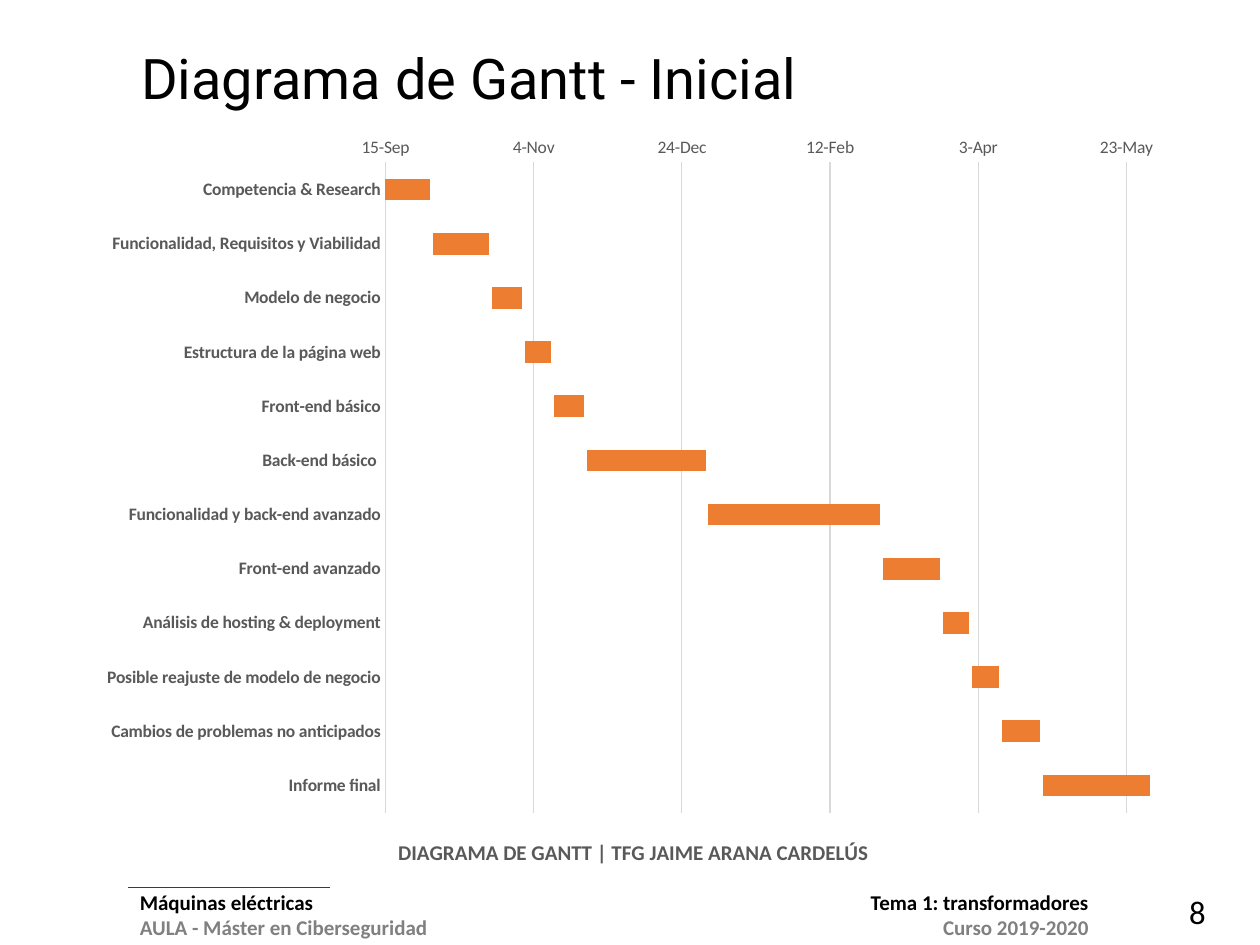
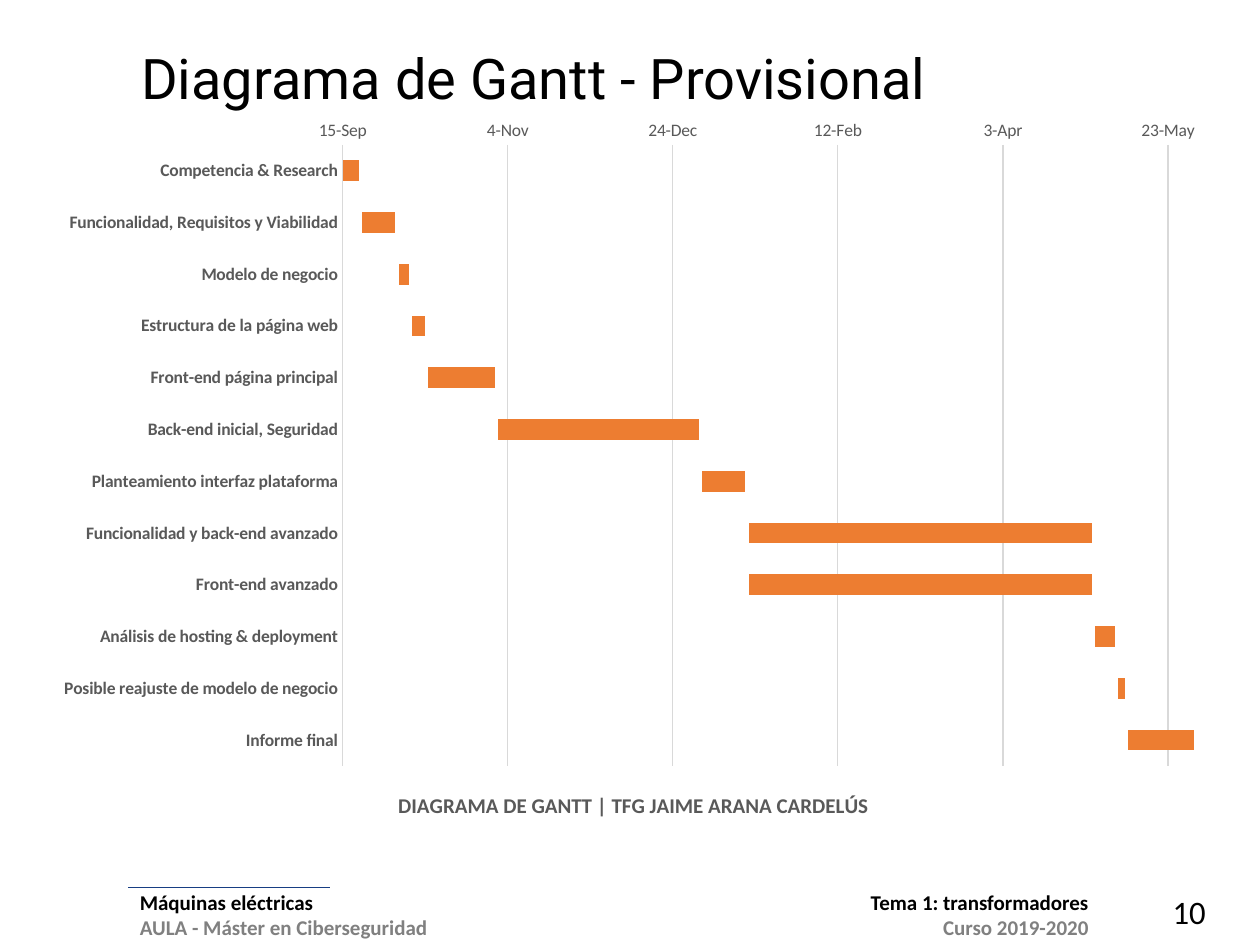
from lxml.etree import SubElement
from pptx import Presentation
from pptx.chart.data import CategoryChartData
from pptx.dml.color import RGBColor
from pptx.enum.chart import XL_CHART_TYPE as ChartType, XL_TICK_MARK as TickMark
from pptx.enum.shapes import MSO_CONNECTOR as Connector
from pptx.enum.text import MSO_ANCHOR as Anchor, MSO_AUTO_SIZE as AutoSize, PP_ALIGN as Align
from pptx.oxml import parse_xml
from pptx.oxml.ns import nsdecls, qn
from pptx.util import Inches, Pt

BLACK, GRAY, DARK_GRAY = "000000", "808080", "595959"
NAVY, ORANGE, GRID = "173E83", "ED7D31", "D9D9D9"
BODY_FONT, TITLE_FONT = "Calibri", "Roboto"

# Spreadsheet day numbers: 15 September to 31 May
FIRST_DAY, LAST_DAY, DAY_STEP = 44454, 44712, 50
CHART_TITLE = "DIAGRAMA DE GANTT | TFG JAIME ARANA CARDELÚS"

# Tasks: name, start day, duration
INITIAL_TASKS = [
    ("Competencia & Research", 44454, 15),
    ("Funcionalidad, Requisitos y Viabilidad", 44470, 19),
    ("Modelo de negocio", 44490, 10),
    ("Estructura de la página web", 44501, 9),
    ("Front-end básico", 44511, 10),
    ("Back-end básico ", 44522, 40),
    ("Funcionalidad y back-end avanzado", 44563, 58),
    ("Front-end avanzado", 44622, 19),
    ("Análisis de hosting & deployment", 44642, 9),
    ("Posible reajuste de modelo de negocio", 44652, 9),
    ("Cambios de problemas no anticipados", 44662, 13),
    ("Informe final", 44676, 36),
]
PROVISIONAL_TASKS = [
    ("Competencia & Research", 44454, 5),
    ("Funcionalidad, Requisitos y Viabilidad", 44460, 10),
    ("Modelo de negocio", 44471, 3),
    ("Estructura de la página web", 44475, 4),
    ("Front-end página principal", 44480, 20),
    ("Back-end inicial, Seguridad", 44501, 61),
    ("Planteamiento interfaz plataforma", 44563, 13),
    ("Funcionalidad y back-end avanzado", 44577, 104),
    ("Front-end avanzado", 44577, 104),
    ("Análisis de hosting & deployment", 44682, 6),
    ("Posible reajuste de modelo de negocio", 44689, 2),
    ("Informe final", 44692, 20),
]


def color(value):
    return RGBColor.from_string(value)


def set_font(font, size, tone, bold=False, name=BODY_FONT):
    font.name, font.size, font.bold = name, Pt(size), bold
    font.color.rgb = color(tone)


def manual_layout(frame, place, inner=False):
    """Describe a place on the slide as fractions of the chart frame."""
    left, top, width, height = frame
    layout = parse_xml(f"<c:layout {nsdecls('c')}><c:manualLayout/></c:layout>")
    settings = [("layoutTarget", "inner")] if inner else []
    settings += [("xMode", "edge"), ("yMode", "edge")]
    fractions = [(place[0] - left) / width, (place[1] - top) / height]
    fractions += [size / whole for size, whole in zip(place[2:], (width, height))]
    settings += [(key, f"{part:.4f}") for key, part in zip("xywh", fractions)]
    for key, value in settings:
        SubElement(layout[0], qn(f"c:{key}")).set("val", value)
    return layout


def remove_layout(parent):
    old = parent.find(qn("c:layout"))
    if old is not None:
        parent.remove(old)


class GanttDeck:
    def __init__(self):
        self.deck = Presentation()
        self.deck.slide_width, self.deck.slide_height = Inches(10), Inches(7.5)
        self.page = None

    def add_page(self, title, number):
        self.page = self.deck.slides.add_slide(self.deck.slide_layouts[5])
        self.footer(number)
        self.title(title)

    def title(self, text):
        box = self.page.shapes.title
        box.left, box.top, box.width, box.height = map(Inches, (1.02, 0.09, 8.65, 1.11))
        frame = box.text_frame
        frame.text = text
        frame.auto_size, frame.vertical_anchor = AutoSize.NONE, Anchor.MIDDLE
        para = frame.paragraphs[0]
        para.alignment, para.line_spacing = Align.LEFT, 0.9
        set_font(para.font, 32, BLACK, name=TITLE_FONT)

    def text(self, place, lines, align=Align.LEFT):
        """Add a box of (text, size, color, bold) lines."""
        frame = self.page.shapes.add_textbox(*map(Inches, place)).text_frame
        frame.word_wrap = True
        frame.margin_left = frame.margin_right = Inches(0.13)
        frame.margin_top = frame.margin_bottom = Inches(0.06)
        for index, (text, size, tone, bold) in enumerate(lines):
            para = frame.add_paragraph() if index else frame.paragraphs[0]
            para.text, para.alignment = text, align
            set_font(para.font, size, tone, bold)

    def rule(self, start, end, tone):
        line = self.page.shapes.add_connector(Connector.STRAIGHT, *map(Inches, start + end))
        line.line.color.rgb, line.line.width = color(tone), Pt(0.5)
        SubElement(line._element.spPr, qn("a:effectLst"))

    def footer(self, number):
        columns = [
            (0.98, Align.LEFT, "Máquinas eléctricas", "AULA - Máster en Ciberseguridad"),
            (3.9, Align.RIGHT, "Tema 1: transformadores", "Curso 2019-2020"),
        ]
        for left, align, heading, detail in columns:
            lines = [(heading, 12, BLACK, True), (detail, 12, GRAY, True)]
            self.text((left, 7, 4.87, 0.53), lines, align)
        self.text((9.13, 7.02, 0.57, 0.45), [(str(number), 18.7, BLACK, False)], Align.RIGHT)
        self.rule((1.02, 7.04), (2.62, 7.04), NAVY)

    def gantt(self, frame, plot_area, title_at, tasks):
        names, starts, durations = zip(*tasks)
        data = CategoryChartData()
        data.categories = names
        data.add_series("Series 1", starts)
        data.add_series("Series 2", durations)
        chart = self.page.shapes.add_chart(
            ChartType.BAR_STACKED, *map(Inches, frame), data).chart
        chart.has_legend = chart.has_title = False
        set_font(chart.font, 10, BLACK)

        # Bars: invisible start offset, then the duration
        plot = chart.plots[0]
        plot.gap_width, plot.overlap, plot.vary_by_categories = 150, 100, False
        offset, duration = plot.series
        offset.format.fill.background()
        offset.format.line.fill.background()
        duration.format.fill.solid()
        duration.format.fill.fore_color.rgb = color(ORANGE)

        # Axes
        task_axis, day_axis = chart.category_axis, chart.value_axis
        for axis in (task_axis, day_axis):
            axis.major_tick_mark = axis.minor_tick_mark = TickMark.NONE
            axis.format.line.fill.background()
            set_font(axis.tick_labels.font, 10, DARK_GRAY, bold=axis is task_axis)
        task_axis.reverse_order = True
        day_axis.minimum_scale, day_axis.maximum_scale = FIRST_DAY, LAST_DAY
        day_axis.major_unit = DAY_STEP
        day_axis.tick_labels.number_format = "d\\-mmm"
        day_axis.tick_labels.number_format_is_linked = False
        day_axis.has_major_gridlines = True
        grid = day_axis.major_gridlines.format.line
        grid.color.rgb, grid.width = color(GRID), Pt(0.75)

        # Axis title below the plot
        title = day_axis.axis_title
        title.text_frame.text = CHART_TITLE
        set_font(title.text_frame.paragraphs[0].font, 12, DARK_GRAY, True)
        remove_layout(title._element)
        title._element.find(qn("c:tx")).addnext(manual_layout(frame, title_at))

        # Plot position
        area = chart._chartSpace.chart.plotArea
        remove_layout(area)
        area.insert(0, manual_layout(frame, plot_area, inner=True))


def main():
    gantt_deck = GanttDeck()

    # Initial plan
    gantt_deck.add_page("Diagrama de Gantt - Inicial", 8)
    gantt_deck.gantt((0.67, 0.97, 8.65, 6.07), (3.06, 1.29, 6.07, 5.16),
                     (3.13, 6.62), INITIAL_TASKS)

    # Provisional plan
    gantt_deck.add_page("Diagrama de Gantt - Provisional", 10)
    gantt_deck.gantt((0.33, 0.84, 9.35, 5.83), (2.72, 1.15, 6.76, 4.93),
                     (3.13, 6.25), PROVISIONAL_TASKS)

    gantt_deck.deck.save("out.pptx")


if __name__ == "__main__":
    main()
